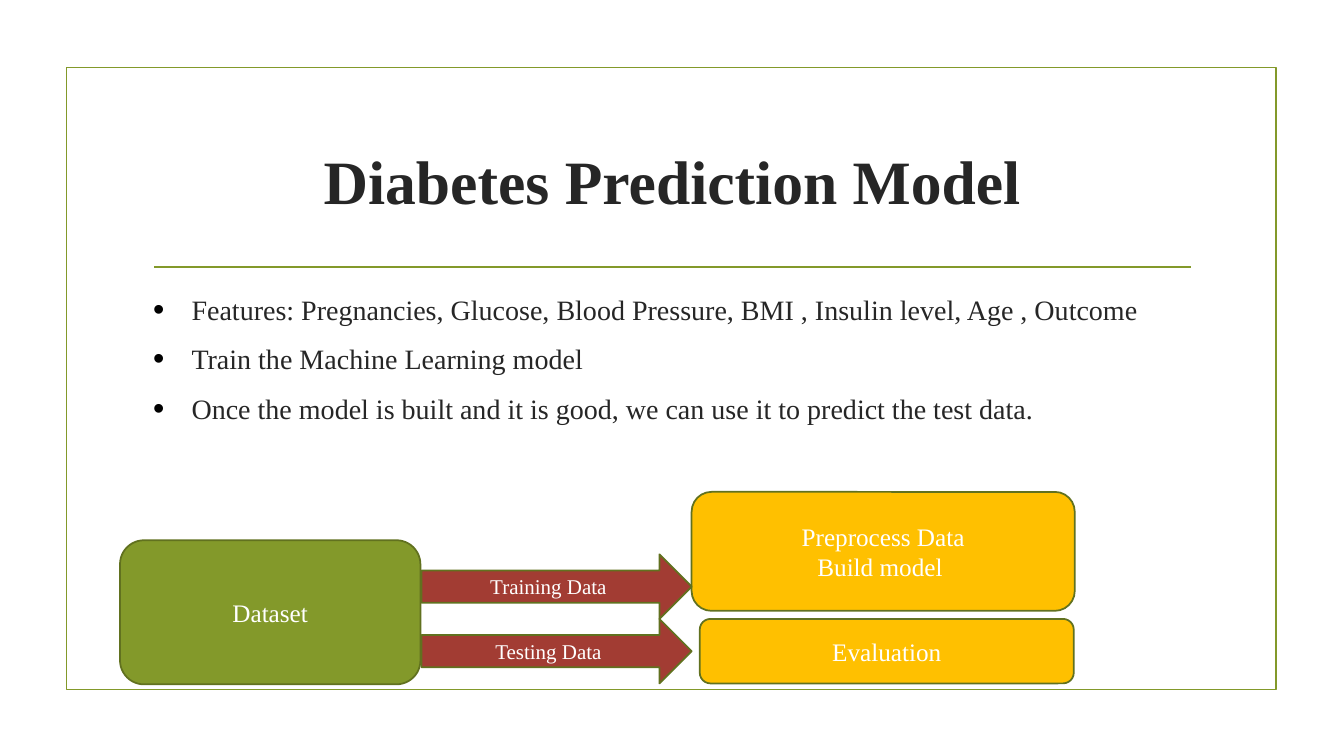
from lxml.etree import SubElement
from pptx import Presentation
from pptx.dml.color import RGBColor
from pptx.enum.shapes import MSO_CONNECTOR, MSO_SHAPE
from pptx.enum.text import MSO_ANCHOR, PP_ALIGN
from pptx.oxml.ns import qn
from pptx.util import Inches, Pt

COLORS = {
    "green": "83992A",
    "edge": "61711F",
    "red": "A23C33",
    "gold": "FFC000",
    "ink": "262626",
    "white": "FFFFFF",
    "black": "000000",
}
ROUND, ARROW = MSO_SHAPE.ROUNDED_RECTANGLE, MSO_SHAPE.RIGHT_ARROW


def color(name):
    return RGBColor.from_string(COLORS[name])


def apply(item, values):
    for name, value in values.items():
        setattr(item, name, value)


class Deck:
    font = "Times New Roman"
    width = Pt(1.25)

    def __init__(self, show):
        self.slide = show.slides.add_slide(show.slide_layouts[6])

    def fill_text(self, frame, lines, size, ink, align, bold=False, **space):
        apply(frame, {"word_wrap": True, "vertical_anchor": MSO_ANCHOR.MIDDLE})
        for i, line in enumerate(lines):
            para = frame.paragraphs[0] if i == 0 else frame.add_paragraph()
            apply(para, {"alignment": align, **space})
            run = para.add_run()
            run.text = line
            apply(run.font, {"name": self.font, "size": Pt(size), "bold": bold})
            run.font.color.rgb = color(ink)

    def stroke(self, line, ink):
        line.color.rgb = color(ink)
        line.width = self.width

    def shape(self, kind, box, fill, edge):
        shape = self.slide.shapes.add_shape(kind, *map(Inches, box))
        shape.shadow.inherit = False
        if fill:
            shape.fill.solid()
            shape.fill.fore_color.rgb = color(fill)
        else:
            shape.fill.background()
        self.stroke(shape.line, edge)
        return shape

    def block(self, kind, box, fill, size, *lines):
        shape = self.shape(kind, box, fill, "edge")
        self.fill_text(shape.text_frame, lines, size, "white", PP_ALIGN.CENTER)

    def rule(self, left, right, y):
        line = self.slide.shapes.add_connector(
            MSO_CONNECTOR.STRAIGHT, *map(Inches, (left, y, right, y)))
        self.stroke(line.line, "green")
        SubElement(line._element.spPr, qn("a:effectLst"))

    def text(self, box):
        frame = self.slide.shapes.add_textbox(*map(Inches, box)).text_frame
        sides = ("left", "right", "top", "bottom")
        apply(frame, {f"margin_{side}": 0 for side in sides})
        return frame

    def title(self, box, text):
        self.fill_text(self.text(box), [text], 44, "ink", PP_ALIGN.CENTER, True)

    def bullets(self, box, lines, indent):
        frame = self.text(box)
        self.fill_text(frame, lines, 20, "ink", PP_ALIGN.LEFT,
                       space_after=Pt(11.3))
        frame.vertical_anchor = MSO_ANCHOR.TOP
        for para in frame.paragraphs:
            props = para._p.get_or_add_pPr()
            props.set("marL", str(Inches(indent)))
            props.set("indent", str(-Inches(indent)))
            tint = SubElement(props, qn("a:buClr"))
            SubElement(tint, qn("a:srgbClr"), val=COLORS["black"])
            SubElement(props, qn("a:buSzPct"), val="115000")
            SubElement(props, qn("a:buFont"), typeface="Arial")
            SubElement(props, qn("a:buChar"), char="•")


def main():
    show = Presentation()
    apply(show, {"slide_width": Inches(13.33), "slide_height": Inches(7.5)})
    deck = Deck(show)

    deck.shape(MSO_SHAPE.RECTANGLE, (0.66, 0.67, 12, 6.17), None, "green")
    deck.rule(1.53, 11.81, 2.65)
    deck.title((1.42, 1.07, 10.5, 1.43), "Diabetes Prediction Model")
    deck.bullets((1.52, 2.9, 10.3, 3), [
        "Features: Pregnancies, Glucose, Blood Pressure, BMI , Insulin level, Age , Outcome",
        "Train the Machine Learning model",
        "Once the model is built and it is good, we can use it to predict the test data.",
    ], 0.38)

    top, high = 5.5, 0.64
    deck.block(ROUND, (1.19, 5.36, 2.98, 1.43), "green", 18, "Dataset")
    deck.block(ROUND, (6.86, 4.88, 3.8, 1.18), "gold", 18,
               "Preprocess Data", "Build model ")
    for i, label in enumerate(("Training Data", "Testing Data")):
        deck.block(ARROW, (4.18, top + i * high, 2.68, high), "red", 15, label)
    deck.block(ROUND, (6.94, top + high, 3.71, high), "gold", 18, "Evaluation")

    show.save("out.pptx")


if __name__ == "__main__":
    main()
